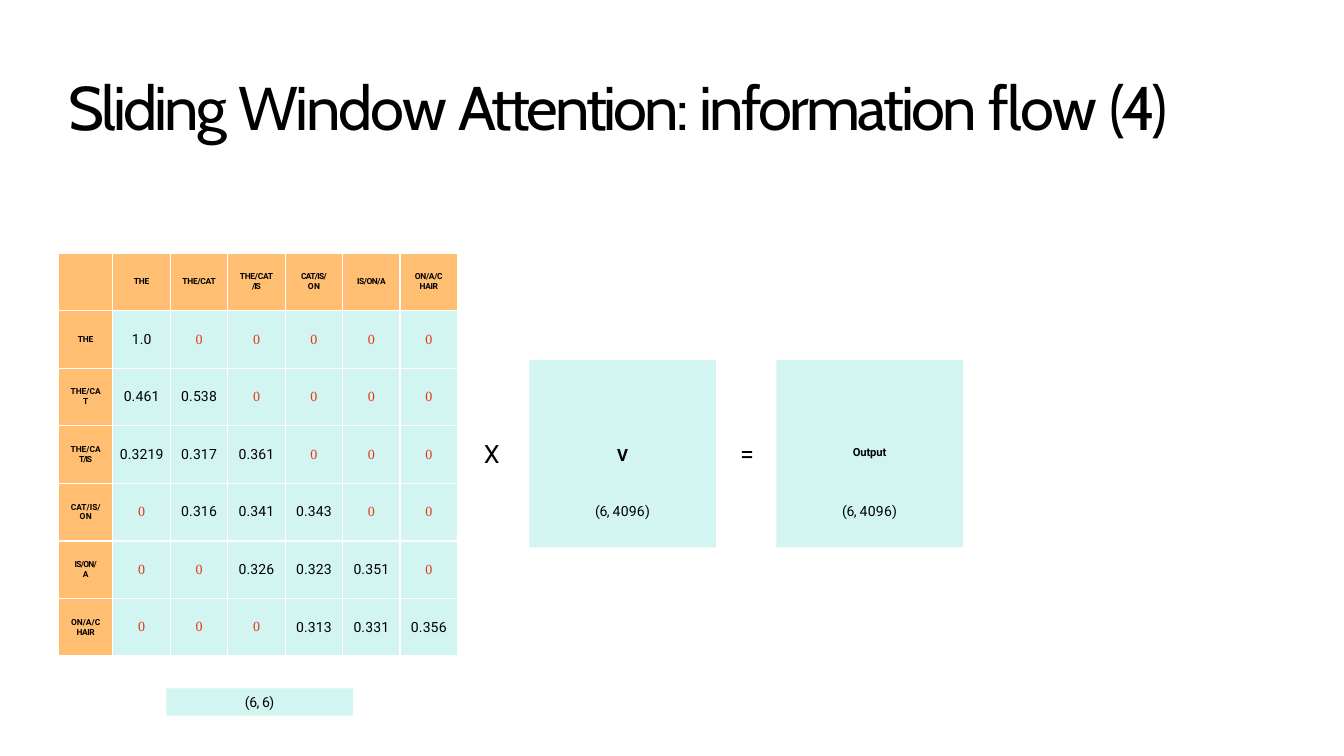
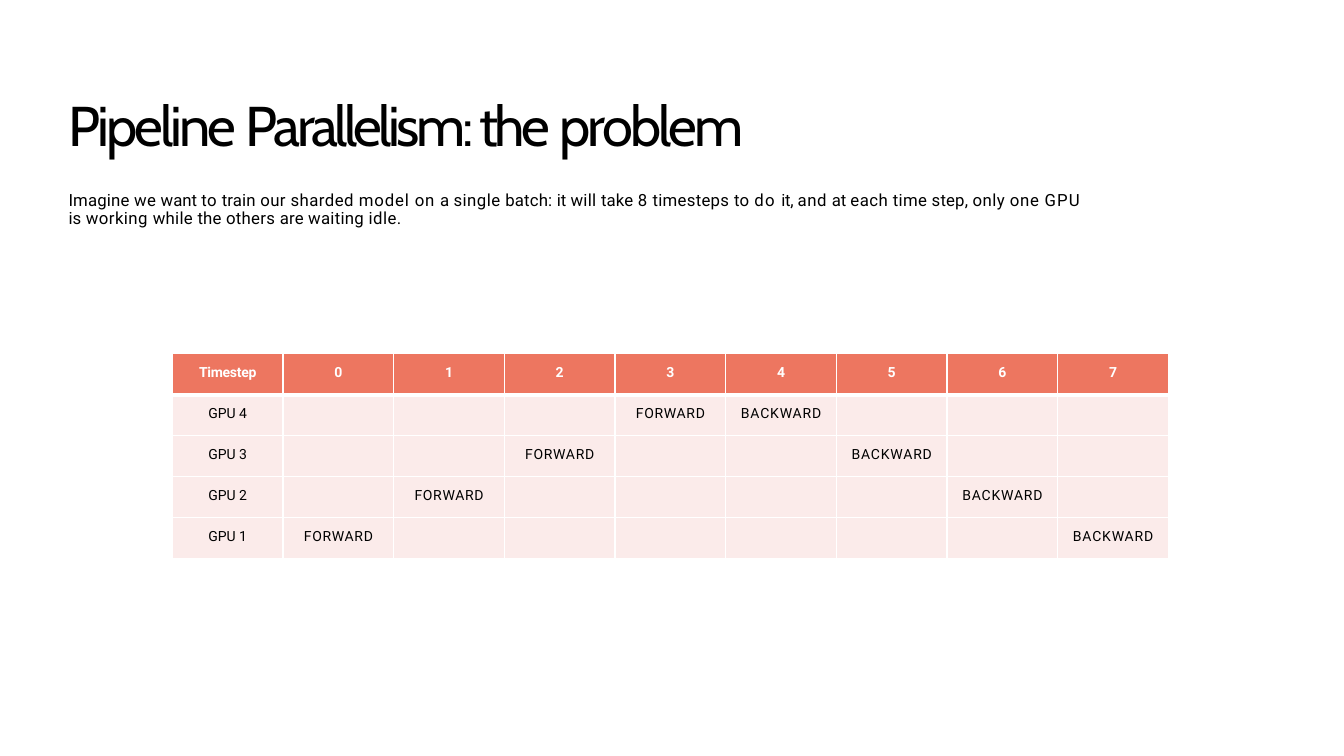
"""Build two slides on sliding window attention and pipeline parallelism."""
import pptx
import pptx.dml.color
import pptx.enum.shapes
import pptx.enum.text
import pptx.oxml
import pptx.oxml.ns
import pptx.util

Inches = pptx.util.Inches
Pt = pptx.util.Pt
ALIGN = pptx.enum.text.PP_ALIGN
ANCHOR = pptx.enum.text.MSO_ANCHOR

HUES = {"ink": "000000", "white": "FFFFFF", "red": "E23717", "orange": "FFBE71",
        "mint": "D2F5F1", "coral": "ED7660", "blush": "FBEBEA"}
LOOKS = {
    "title": (44, "Cabin", "ink", False),
    "title small": (40, "Cabin", "ink", False),
    "body": (12, "Roboto", "ink", False),
    "sign": (18, "Roboto", "ink", False),
    "label": (6, "Roboto", "ink", True),
    "value": (10, "Roboto", "ink", False),
    "zero": (10, "Times New Roman", "red", False),
    "head": (10, "Roboto", "white", True),
    "name": (12, "Roboto", "ink", True),
    "name small": (8, "Roboto", "ink", True),
}

WINDOW = [("Sliding ", -2), ("Window ", -1.6), ("Attention: ", -2.2),
          ("information ", -2), ("flow ", -1.1), ("(4)", -1.9)]
TOPS = [[("THE", -0.1)], [("THE/CAT", -0.2)], [("THE/CAT", -0.2), ("/IS", -0.8)],
        [("CAT/IS/", -0.5), ("ON", 0.3)], [("IS/ON/A", -0.3)],
        [("ON/A/C", -0.2), ("HAIR", -0.3)]]
SIDES = [[("THE", -0.1)], [("THE/CA", 0), ("T", -0.2)], [("THE/CA", 0), ("T/IS", -0.7)],
         [("CAT/IS/", 0), ("ON", 0.3)], [("IS/ON/", -0.5), ("A", 0)],
         [("ON/A/C", 0), ("HAIR", -0.3)]]
SCORES = [(0, ["1.0"]), (0, ["0.461", "0.538"]), (0, ["0.3219", "0.317", "0.361"]),
          (1, ["0.316", "0.341", "0.343"]), (2, ["0.326", "0.323", "0.351"]),
          (3, ["0.313", "0.331", "0.356"])]
SHAPE = [("(6, ", -0.3), ("4096", 0.2), (")", -0.8)]
BLOCKS = [(5.25, "V", "name", 0.1, 27), (7.7, "Output", "name small", -0.1, 31)]
SIGNS = [(4.8, "X", 1.2), (7.34, "=", -1.1)]

PIPE = [("Pipeline ", -2.1), ("Parallelism: the ", -2.5), ("problem", -1.9)]
INTRO = [("Imagine ", 0.1), ("we ", 0.2), ("want ", 0), ("to ", 0.3), ("train ", 0.1),
         ("our sharded ", 0.3), ("model ", 0.6), ("on ", 0.5), ("a ", 0.1),
         ("single ", 0.3), ("batch: ", 0.1), ("it ", 0), ("will ", 0.2), ("take ", 0.1),
         ("8 ", 0.4), ("timesteps ", 0.2), ("to ", 0.3), ("do ", 0.9), ("it, ", -0.2),
         ("and ", 0.4), ("at ", -0.1), ("each ", 0.3), ("time ", 0.2), ("step, ", 0.1),
         ("only ", 0.3), ("one ", 0.5), ("GPU ", 0.8), ("is ", 0.1), ("working ", 0.3),
         ("while ", 0.2), ("the ", 0.1), ("others ", 0.2), ("are ", 0.1),
         ("waiting ", 0.2), ("idle.", 0.3)]
STEPS = 8


def tint(name):
    return pptx.dml.color.RGBColor.from_string(HUES[name])


def write(frame, lines, align=ALIGN.CENTER):
    for i, (look, runs, gap) in enumerate(lines):
        par = frame.add_paragraph() if i else frame.paragraphs[0]
        par.alignment = align
        par.space_before = Pt(gap)
        size, font, hue, bold = LOOKS[look]
        for text, space in runs:
            run = par.add_run()
            run.text = text
            run.font.size = Pt(size)
            run.font.name = font
            run.font.bold = bold
            run.font.color.rgb = tint(hue)
            run._r.get_or_add_rPr().set("spc", str(round(space * 100)))


def inset(item, top=0, foot=0):
    item.margin_left = item.margin_right = 0
    item.margin_top, item.margin_bottom = Inches(top), Inches(foot)


def label(slide, box, look, runs, gap=1, top=0.01):
    frame = slide.shapes.add_textbox(*map(Inches, box)).text_frame
    frame.word_wrap = True
    inset(frame, top)
    write(frame, [(look, runs, gap)], ALIGN.LEFT)
    return frame


def title(slide, top, look, runs):
    label(slide, (0.68, top, 11.27, 0.76), look, runs)


def block(slide, box, lines, anchor, foot=0):
    shape = slide.shapes.add_shape(pptx.enum.shapes.MSO_SHAPE.RECTANGLE, *map(Inches, box))
    shape.shadow.inherit = False
    shape.fill.solid()
    shape.fill.fore_color.rgb = tint("mint")
    shape.line.fill.background()
    frame = shape.text_frame
    frame.word_wrap = True
    frame.vertical_anchor = anchor
    inset(frame, 0, foot)
    write(frame, lines)


def edge(cell, widths):
    props = cell._tc.get_or_add_tcPr()
    for side, width in zip("LRTB", widths):
        props.append(pptx.oxml.parse_xml(
            f'<a:ln{side} {pptx.oxml.ns.nsdecls("a")} w="{Pt(width)}"><a:solidFill>'
            f'<a:srgbClr val="{HUES["white"]}"/></a:solidFill></a:ln{side}>'))


def grid(slide, left, top, widths, height, rows, rule=1, foot=0):
    """Draw rows of (fill, lines) cells; rule is the line under the first row."""
    frame = slide.shapes.add_table(len(rows), len(widths), Inches(left), Inches(top),
                                   Inches(sum(widths)), Inches(height))
    table = frame.table
    table.first_row = table.horz_banding = False
    for col, width in zip(table.columns, widths):
        col.width = Inches(width)
    for r, row in enumerate(rows):
        table.rows[r].height = Inches(height / len(rows))
        for c, (hue, lines) in enumerate(row):
            cell = table.cell(r, c)
            inset(cell, 0, foot)
            cell.vertical_anchor = ANCHOR.MIDDLE
            edge(cell, (1, 1, rule if r == 1 else 1, rule if r == 0 else 1))
            cell.fill.solid()
            cell.fill.fore_color.rgb = tint(hue)
            write(cell.text_frame, lines)


def tag(parts):
    return "orange", [("label", [part], 0) for part in parts]


def score(start, values, col):
    if start <= col < start + len(values):
        return "mint", [("value", [(values[col - start], 0.1)], 0)]
    return "mint", [("zero", [("0", 0)], 0)]


def attention(slide):
    title(slide, 0.67, "title", WINDOW)
    rows = [[("orange", [])] + [tag(parts) for parts in TOPS]]
    for side, (start, values) in zip(SIDES, SCORES):
        rows.append([tag(side)] + [score(start, values, c) for c in range(len(TOPS))])
    grid(slide, 0.58, 2.51, [0.54] + [0.57] * len(TOPS), 4, rows)
    for left, name, look, space, gap in BLOCKS:
        block(slide, (left, 3.57, 1.85, 1.86),
              [(look, [(name, space)], 0), ("value", SHAPE, gap)], ANCHOR.BOTTOM, 0.28)
    block(slide, (1.65, 6.83, 1.85, 0.27), [("value", [("(6, 6)", -0.3)], 0)], ANCHOR.MIDDLE)
    for left, sign, space in SIGNS:
        label(slide, (left, 4.34, 0.2, 0.33), "sign", [(sign, space)])


def pipeline(slide):
    title(slide, 0.89, "title small", PIPE)
    frame = label(slide, (0.68, 1.86, 10.06, 0.41), "body", INTRO, 2.6, 0.04)
    frame.paragraphs[0].line_spacing = Pt(13)
    heads = [("Timestep", -0.2)] + [(str(step), 0) for step in range(STEPS)]
    rows = [[("coral", [("head", [head], 0)]) for head in heads]]
    for gpu in range(STEPS // 2, 0, -1):
        texts = {0: (f"GPU {gpu}", 0), gpu: ("FORWARD", 0.5),
                 STEPS + 1 - gpu: ("BACKWARD", 0.6)}
        rows.append([("blush", [("value", [texts[c]], 0)] if c in texts else [])
                     for c in range(STEPS + 1)])
    grid(slide, 1.71, 3.51, [9.88 / (STEPS + 1)] * (STEPS + 1), 2.03, rows, 3, 0.03)


def main():
    deck = pptx.Presentation()
    deck.slide_width, deck.slide_height = Inches(13.33), Inches(7.5)
    for draw in (attention, pipeline):
        draw(deck.slides.add_slide(deck.slide_layouts[6]))
    deck.save("out.pptx")


if __name__ == "__main__":
    main()
